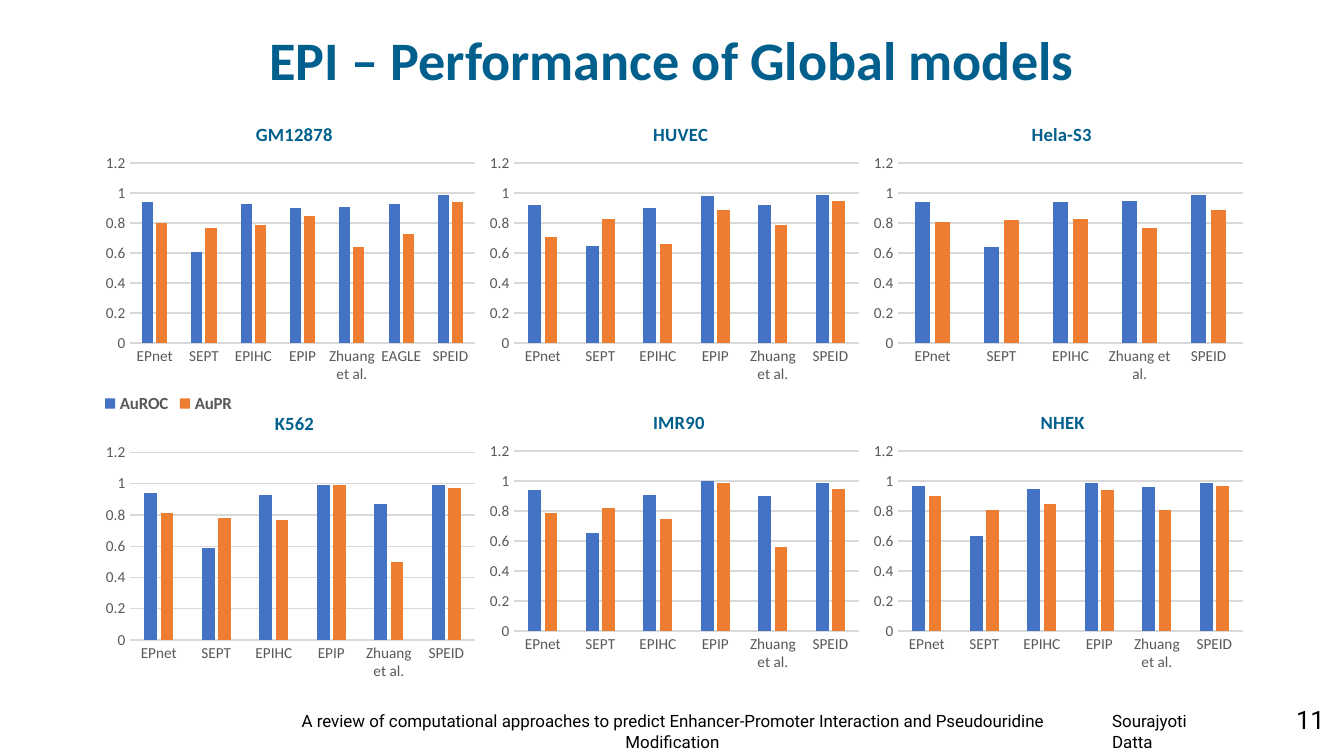
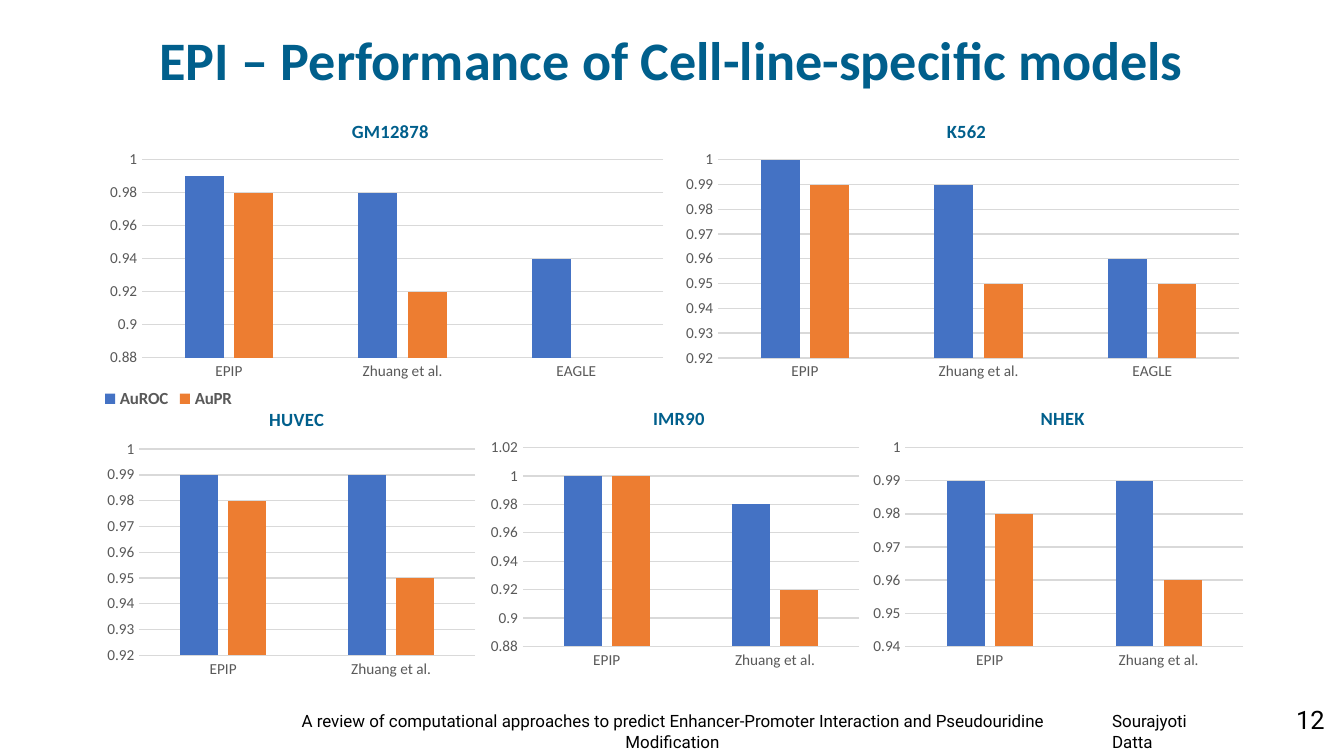
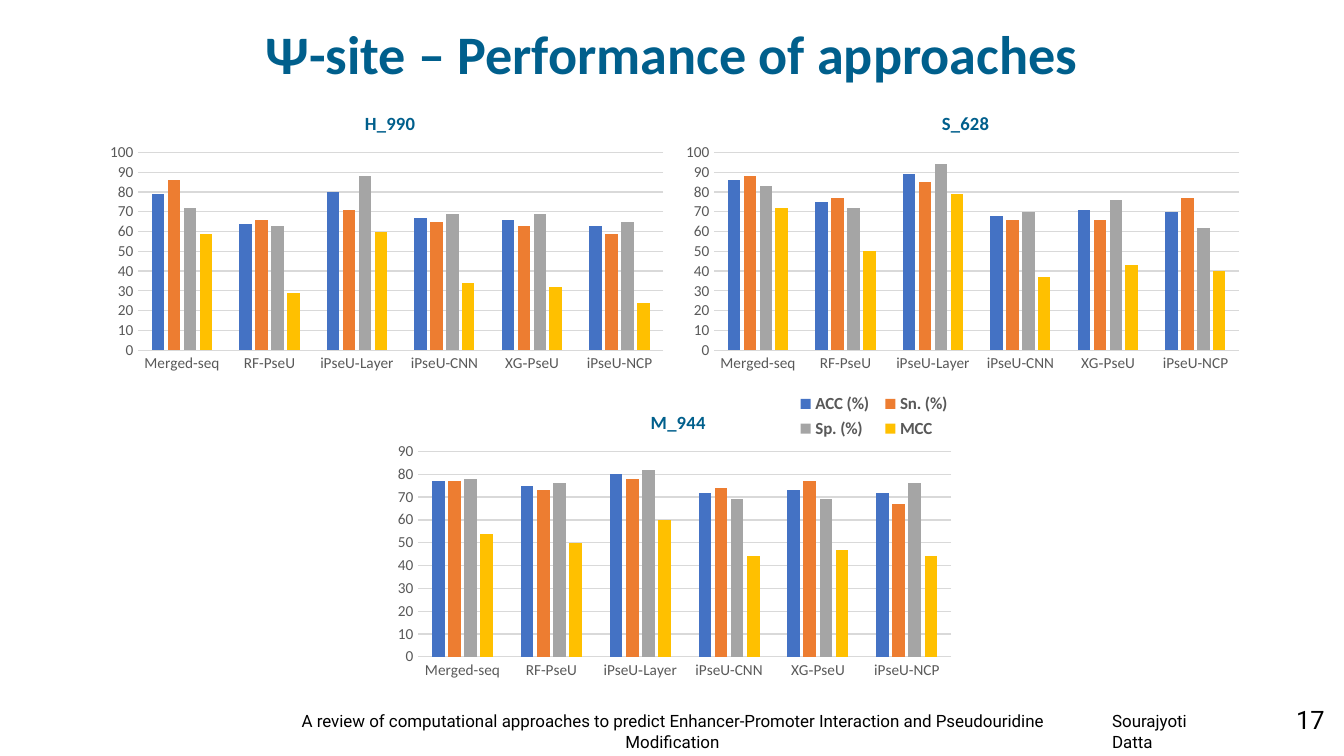
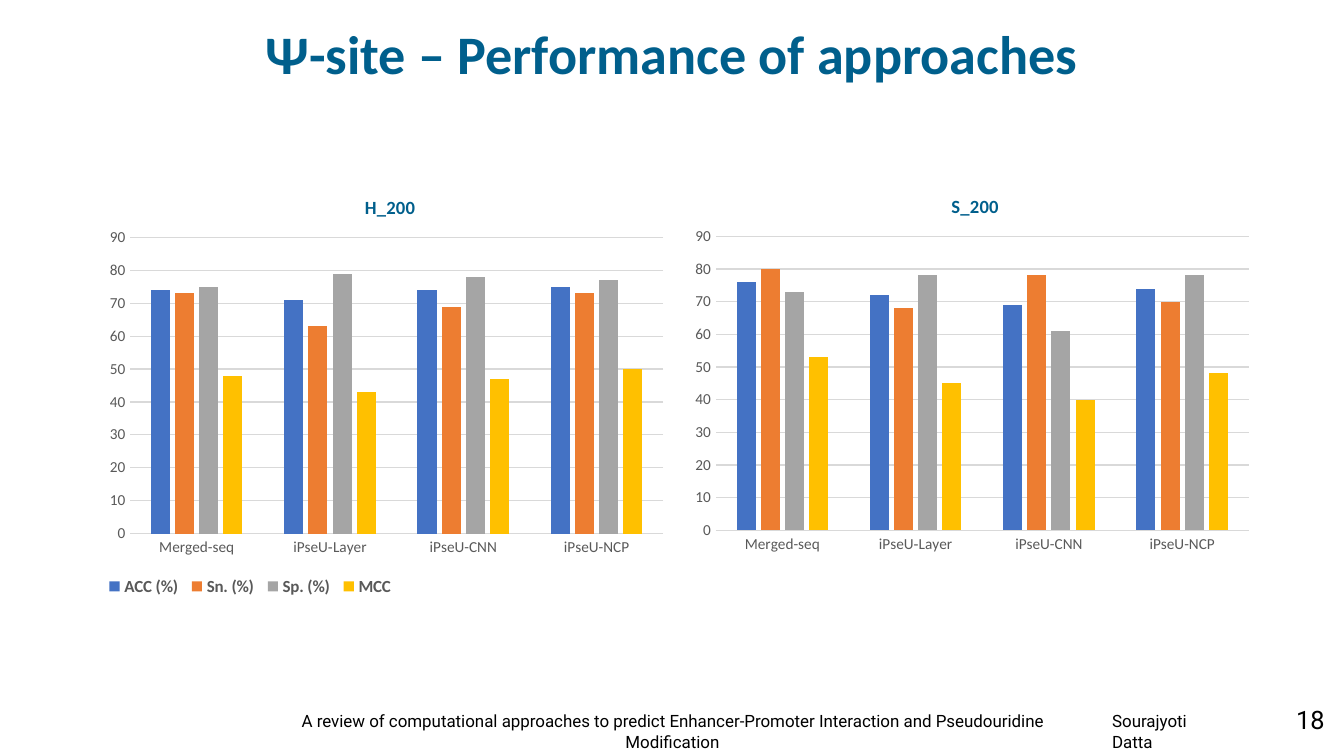
"""Builds four slides of bar charts that compare prediction models."""
from lxml.etree import SubElement as Sub
from pptx import Presentation as Deck
from pptx.chart.data import CategoryChartData as Data
from pptx.dml.color import RGBColor as Rgb
from pptx.enum.chart import XL_CHART_TYPE as Kind, XL_LEGEND_POSITION as Spot
from pptx.enum.chart import XL_TICK_MARK as Tick
from pptx.enum.text import MSO_ANCHOR as Anchor, MSO_AUTO_SIZE as Fit, PP_ALIGN as Align
from pptx.oxml.ns import qn
from pptx.util import Inches, Pt

HUES = {"title": "005F8C", "ink": "000000", "label": "595959", "rule": "D9D9D9",
        "blue": "4472C4", "orange": "ED7D31", "gray": "A5A5A5", "gold": "FFC000"}
BARS = ("blue", "orange", "gray", "gold")
EMS = {"M": .87, "I": .27, "G": .64, "H": .63, "N": .66, "E": .49, "-": .31, "l": .25}
AREA = ("AuROC", "AuPR")
RATE = ("ACC (%)", "Sn. (%)", "Sp. (%)", "MCC")
PAIR = ("EPIP", "Zhuang et al.")
TRIO = PAIR + ("EAGLE",)
SIX = ("EPnet", "SEPT", "EPIHC") + PAIR + ("SPEID",)
PSEU = ("Merged-seq", "RF-PseU", "iPseU‑Layer", "iPseU-CNN", "XG‑PseU", "iPseU-NCP")
FOUR = ("Merged-seq", "iPseU‑Layer", "iPseU-CNN", "iPseU-NCP")
TALK = ("A review of computational approaches to predict Enhancer-Promoter "
        "Interaction and Pseudouridine Modification")


def tint(name):
    return Rgb.from_string(HUES[name])


def style(font, size, hue, face="Calibri", bold=False):
    font.size, font.name, font.bold = Pt(size), face, bold
    font.color.rgb = tint(hue)


def write(frame, text, size=10, hue="ink", face="Roboto", bold=False, align=Align.LEFT):
    para = frame.paragraphs[0]
    para.alignment = align
    run = para.add_run()
    run.text = text
    style(run.font, size, hue, face, bold)


def place(node, index, inner=False, **shares):
    for old in node.findall(qn("c:layout")):
        node.remove(old)
    outer = node.makeelement(qn("c:layout"))
    node.insert(index, outer)
    hand = Sub(outer, qn("c:manualLayout"))
    if inner:
        Sub(hand, qn("c:layoutTarget")).set("val", "inner")
    for key in ("x", "y"):
        Sub(hand, qn(f"c:{key}Mode")).set("val", "edge")
    for key, share in shares.items():
        Sub(hand, qn(f"c:{key}")).set("val", f"{share:.4f}")


class Board:
    COLS, LEFT = 28, 2.06

    def __init__(self):
        self.deck = Deck()
        self.deck.slide_width, self.deck.slide_height = Inches(11.02), Inches(6.2)
        self.unit = self.deck.slide_width / self.COLS
        self.slide = None

    def cells(self, *counts):
        return [round(count * self.unit) for count in counts]

    def start(self, title, number, top):
        self.slide = self.deck.slides.add_slide(self.deck.slide_layouts[5])
        self.note(number, 26.7, 14.55, 1.15, .92, size=15, align=Align.RIGHT)
        self.note("Sourajyoti Datta", 22.92, 14.69, 2.85, .69)
        self.note(TALK, 5.54, 14.69, 16.94, .69, align=Align.CENTER)
        self.head(title, top)

    def head(self, text, top):
        shape = self.slide.shapes.title
        shape.left, shape.top, shape.width, shape.height = self.cells(self.LEFT, top, 23.88, .97)
        frame = shape.text_frame
        frame.margin_left = frame.margin_right = frame.margin_top = frame.margin_bottom = 0
        frame.vertical_anchor, frame.auto_size, frame.word_wrap = Anchor.MIDDLE, Fit.NONE, True
        write(frame, text, size=32, hue="title", face="Calibri", bold=True, align=Align.CENTER)

    def note(self, text, left, top, width, height, **look):
        frame = self.slide.shapes.add_textbox(*self.cells(left, top, width, height)).text_frame
        frame.word_wrap = True
        write(frame, text, **look)

    def chart(self, title, col, top, width, height, names, cats, rows, scale, inset, deep, key=None):
        data = Data()
        data.categories = cats
        for name, row in zip(names, rows):
            data.add_series(name, row)
        box = self.cells(self.LEFT + col, top, width, height)
        chart = self.slide.shapes.add_chart(Kind.COLUMN_CLUSTERED, *box, data).chart
        style(chart.font, 10, "ink")
        self.axes(chart, scale)
        plot = chart.plots[0]
        plot.gap_width, plot.overlap, plot.vary_by_categories = 219, -27, False
        for bar, hue in zip(plot.series, BARS):
            bar.format.fill.solid()
            bar.format.fill.fore_color.rgb = tint(hue)
        area = chart.plots[0]._element.getparent()
        place(area, 0, True, x=inset / width, y=(1.12 + .03 * height) / height,
              w=.98 - inset / width, h=deep / height)
        write(chart.chart_title.text_frame, title, size=11, hue="title",
              face="Calibri", bold=True, align=Align.CENTER)
        span = .39 * sum(EMS.get(char, .52) for char in title)
        place(chart.chart_title._element, 1, x=.5 - span / width / 2, y=.02 + .24 / height)
        chart.has_legend = key is not None
        if key:
            self.legend(chart.legend, width, height, *key)

    def axes(self, chart, scale):
        for axis in (chart.category_axis, chart.value_axis):
            axis.major_tick_mark = axis.minor_tick_mark = Tick.NONE
            style(axis.tick_labels.font, 9, "label")
        base, side = chart.category_axis, chart.value_axis
        side.minimum_scale, side.maximum_scale, side.major_unit = scale
        side.tick_labels.number_format = "General"
        side.tick_labels.number_format_is_linked = False
        side.format.line.fill.background()
        for line in (base.format.line, side.major_gridlines.format.line):
            line.width = Pt(.75)
            line.color.rgb = tint("rule")

    def legend(self, legend, width, height, left, top, wide, high):
        legend.position, legend.include_in_layout = Spot.BOTTOM, False
        style(legend.font, 10, "label", bold=True)
        place(legend._element, 1, x=left / width, y=top / height, w=wide / width, h=high / height)


def whole(board):
    board.start("EPI – Performance of Global models", "11", .74)
    gm = SIX[:5] + ("EAGLE", "SPEID")
    hela = SIX[:3] + SIX[4:]
    lines = (
        ("GM12878", gm, ((.94, .61, .93, .9, .91, .93, .99), (.8, .77, .79, .85, .64, .73, .94))),
        ("HUVEC", SIX, ((.92, .65, .9, .98, .92, .99), (.71, .83, .66, .89, .79, .95))),
        ("Hela-S3", hela, ((.94, .64, .94, .95, .99), (.81, .82, .83, .77, .89))),
        ("K562", SIX, ((.94, .59, .93, .99, .87, .99), (.81, .78, .77, .99, .5, .97))),
        ("IMR90", SIX, ((.94, .65, .91, 1, .9, .99), (.79, .82, .75, .99, .56, .95))),
        ("NHEK", SIX, ((.97, .63, .95, .99, .96, .99), (.9, .81, .85, .94, .81, .97))))
    for spot, (name, cats, rows) in enumerate(lines):
        row, col = divmod(spot, 3)
        keyed = name == "K562"
        board.chart(name, 8 * col, 2.1 + 6 * row, 8, 7 if keyed else 6, AREA, cats, rows,
                    (0, 1.2, .2), .65, 3.91 if keyed else 3.75,
                    (0, .05, 2.9, .52) if keyed else None)


def single(board):
    board.start("EPI – Performance of Cell-line-specific models", "12", .74)
    wide = (("GM12878", ((.99, .98, .94), (.98, .92, None)), (.88, 1, .02)),
            ("K562", ((1, .99, .96), (.99, .95, .95)), (.92, 1, .01)))
    for col, (name, rows, scale) in enumerate(wide):
        board.chart(name, 12 * col, 2.03, 12, 6, AREA, TRIO, rows, scale, .9, 4.13)
    slim = (("HUVEC", ((.99, .99), (.98, .95)), (.92, 1, .01), 7, .84, 4.3, (0, .02, 2.9, .52)),
            ("IMR90", ((1, .98), (1, .92)), (.88, 1.02, .02), 6, .83, 4.14, None),
            ("NHEK", ((.99, .99), (.98, .96)), (.94, 1, .01), 6, .8, 4.14, None))
    for col, (name, rows, scale, high, inset, deep, key) in enumerate(slim):
        board.chart(name, 8 * col, 8.03, 8, high, AREA, PAIR, rows, scale, inset, deep, key)


def sites(board):
    board.start("Ψ-site – Performance of approaches", "17", .61)
    upper = (("H_990", ((79, 64, 80, 67, 66, 63), (86, 66, 71, 65, 63, 59),
                        (72, 63, 88, 69, 69, 65), (59, 29, 60, 34, 32, 24))),
             ("S_628", ((86, 75, 89, 68, 71, 70), (88, 77, 85, 66, 66, 77),
                        (83, 72, 94, 70, 76, 62), (72, 50, 79, 37, 43, 40))))
    for col, (name, rows) in enumerate(upper):
        board.chart(name, 12 * col, 1.88, 12, 6, RATE, PSEU, rows, (0, 100, 10), .82, 4.12)
    lower = ((77, 75, 80, 72, 73, 72), (77, 73, 78, 74, 77, 67),
             (78, 76, 82, 69, 69, 76), (54, 50, 60, 44, 47, 44))
    board.chart("M_944", 6, 8.08, 12, 7, RATE, PSEU, lower, (0, 90, 10), .65, 4.28,
                (8.4, .02, 3.5, 1.15))


def tests(board):
    board.start("Ψ-site – Performance of approaches", "18", .61)
    human = ((74, 71, 74, 75), (73, 63, 69, 73), (75, 79, 78, 77), (48, 43, 47, 50))
    yeast = ((76, 72, 69, 74), (80, 68, 78, 70), (73, 78, 61, 78), (53, 45, 40, 48))
    board.chart("H_200", 0, 3.56, 12, 9, RATE, FOUR, human, (0, 90, 10), .65, 6.17,
                (.05, 8.4, 6.2, .52))
    board.chart("S_200", 12.2, 3.56, 12, 8.15, RATE, FOUR, yeast, (0, 90, 10), .65, 6.13)


def main():
    board = Board()
    for build in (whole, single, sites, tests):
        build(board)
    board.deck.save("out.pptx")


if __name__ == "__main__":
    main()
